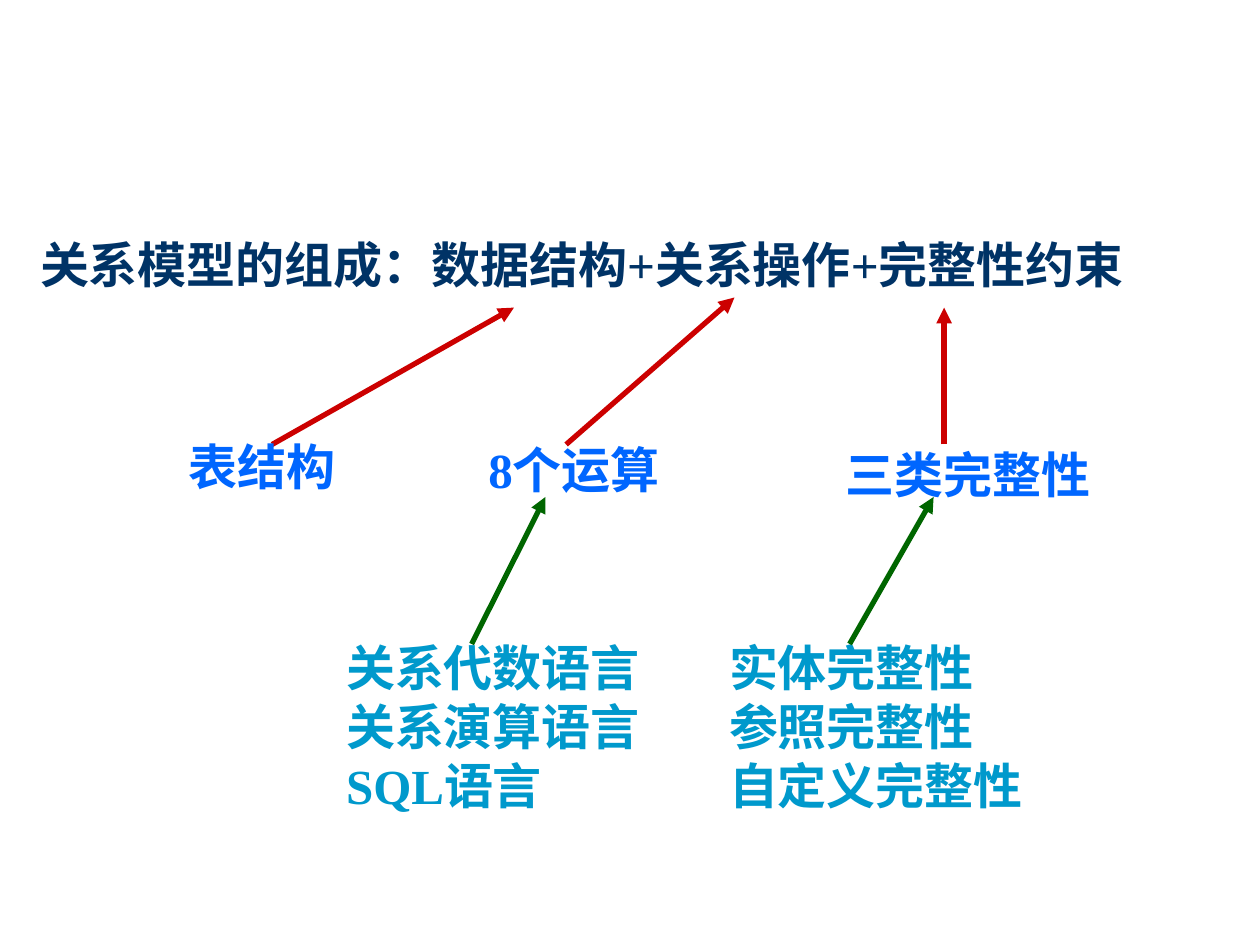
from lxml.etree import SubElement
from pptx import Presentation
from pptx.dml.color import RGBColor
from pptx.enum.shapes import MSO_CONNECTOR
from pptx.enum.text import MSO_ANCHOR, MSO_AUTO_SIZE, PP_ALIGN
from pptx.oxml.ns import qn
from pptx.util import Pt

COLORS = {
    "heading": "003366",
    "part": "0066FF",
    "detail": "0099CC",
    "part_arrow": "CC0000",
    "detail_arrow": "006600",
}
FONT = "Times New Roman"
LABEL_HEIGHT = 41
DETAIL_TOP, DETAIL_WIDTH, DETAIL_HEIGHT = 361, 182, 108
PART_ARROW_START = 254
DETAIL_ARROW_START, DETAIL_ARROW_END = 368, 284

PARTS = [
    ("表结构", (100.7, 245.7, 98), (155.5, 293.7, 175.8)),
    ("8个运算", (272, 247.5, 145), (323.5, 419.7, 170)),
    ("三类完整性", (476, 250.2, 167), (539.5, 539.5, 175.8)),
]
DETAILS = [
    (["关系代数语言", "关系演算语言", "SQL语言"], 190.7, (269.5, 311.7)),
    (["实体完整性", "参照完整性", "自定义完整性"], 409.5, (485.5, 533.5)),
]


def write_text(frame, lines, color, size=28, bold=True, wrap=False):
    frame.word_wrap = wrap
    frame.auto_size = MSO_AUTO_SIZE.NONE
    frame.vertical_anchor = MSO_ANCHOR.TOP
    frame.text = "\n".join(lines)
    for para in frame.paragraphs:
        para.alignment = PP_ALIGN.LEFT
        for span in para.runs:
            span.font.name = FONT
            span.font.size = Pt(size)
            span.font.bold = bold
            span.font.color.rgb = RGBColor.from_string(COLORS[color])


def add_label(page, lines, box, color):
    label = page.shapes.add_textbox(*map(Pt, box))
    write_text(label.text_frame, lines, color)


def add_arrow(page, start, end, color):
    arrow = page.shapes.add_connector(
        MSO_CONNECTOR.STRAIGHT, *map(Pt, (*start, *end))
    )
    arrow.line.color.rgb = RGBColor.from_string(COLORS[color])
    arrow.line.width = Pt(3)
    properties = arrow._element.spPr
    SubElement(properties.get_or_add_ln(), qn("a:tailEnd"), type="triangle")
    SubElement(properties, qn("a:effectLst"))


def add_heading(page, box):
    title = page.shapes.title
    title.left, title.top, title.width, title.height = map(Pt, box)
    write_text(
        title.text_frame,
        ["关系模型的组成：数据结构+关系操作+完整性约束"],
        "heading",
        wrap=True,
    )


def add_part(page, text, box, arrow):
    start_x, end_x, end_y = arrow
    add_arrow(page, (start_x, PART_ARROW_START), (end_x, end_y), "part_arrow")
    add_label(page, [text], box, "part")


def add_detail(page, lines, box, arrow):
    start_x, end_x = arrow
    add_label(page, lines, box, "detail")
    add_arrow(
        page,
        (start_x, DETAIL_ARROW_START),
        (end_x, DETAIL_ARROW_END),
        "detail_arrow",
    )


def main():
    deck = Presentation()
    deck.slide_width, deck.slide_height = Pt(720), Pt(540)
    page = deck.slides.add_slide(deck.slide_layouts[5])
    add_heading(page, (15.7, 130.5, 684, LABEL_HEIGHT))
    for text, place, arrow in PARTS:
        add_part(page, text, (*place, LABEL_HEIGHT), arrow)
    for lines, left, arrow in DETAILS:
        add_detail(
            page, lines, (left, DETAIL_TOP, DETAIL_WIDTH, DETAIL_HEIGHT), arrow
        )
    deck.save("out.pptx")


if __name__ == "__main__":
    main()
